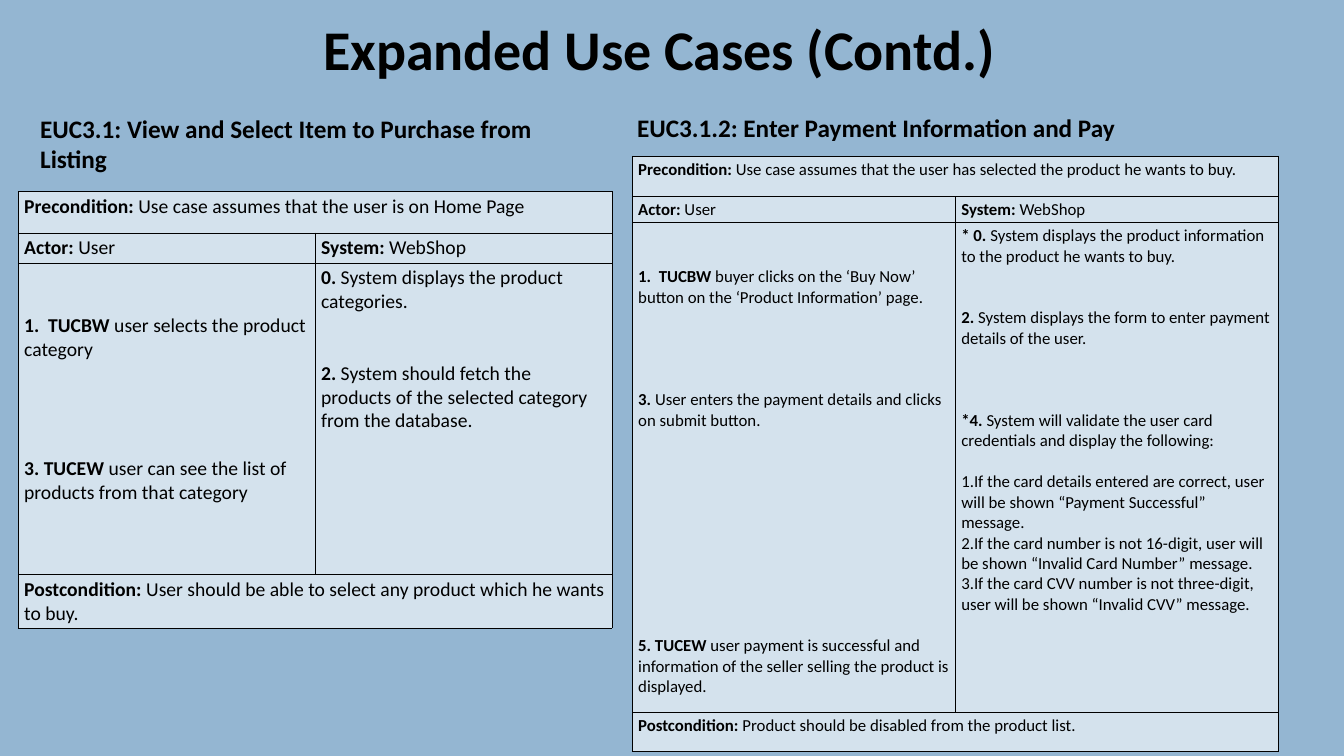
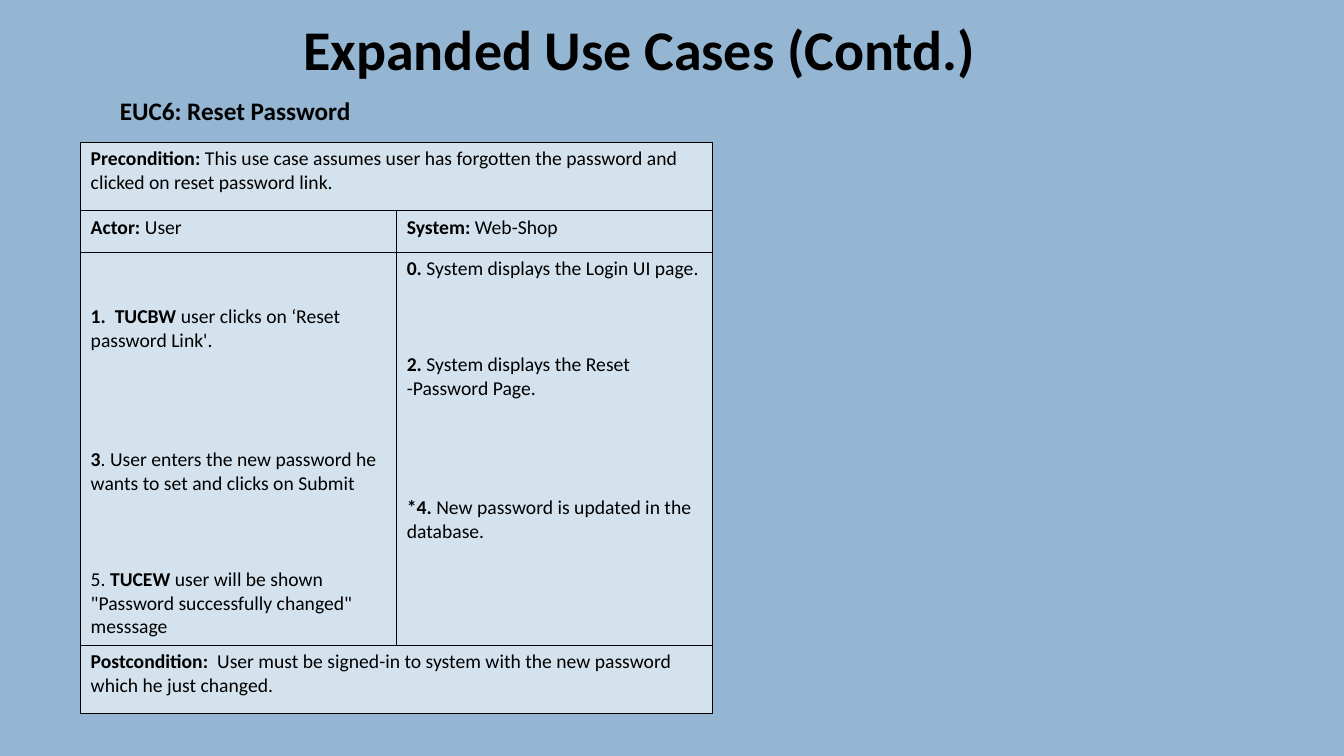
from dataclasses import dataclass

from lxml.etree import SubElement
from pptx import Presentation
from pptx.dml.color import RGBColor
from pptx.enum.text import PP_ALIGN
from pptx.oxml.ns import qn
from pptx.util import Inches, Pt

COLORS = {"background": "94B6D2", "cell": "D4E2ED", "ink": "000000"}
FONT = "Calibri"
LINE_HEIGHT = 1.22
BORDER_WIDTH = 0.5


@dataclass
class Step:
    gap: int
    text: str
    numbered: bool = False


@dataclass
class UseCase:
    precondition: str
    system: str
    actor_steps: list
    system_steps: list
    postcondition: str


def rgb(name):
    return RGBColor.from_string(COLORS[name])


def add_runs(p, text, size):
    for i, part in enumerate(text.split("|")):
        if part:
            r = p.add_run()
            r.text = part
            r.font.name = FONT
            r.font.size = Pt(size)
            r.font.bold = i % 2 == 0
            r.font.color.rgb = rgb("ink")


def add_slide(prs):
    s = prs.slides.add_slide(prs.slide_layouts[6])
    s.background.fill.solid()
    s.background.fill.fore_color.rgb = rgb("background")
    return s


def add_text(s, box, text, size, align=PP_ALIGN.LEFT):
    tf = s.shapes.add_textbox(*map(Inches, box)).text_frame
    tf.word_wrap = True
    p = tf.paragraphs[0]
    p.alignment = align
    add_runs(p, text, size)


def add_title(s, width):
    add_text(s, (1.49, 0.1, width, 0.8), "Expanded Use Cases (Contd.)", 40, PP_ALIGN.CENTER)


def style_cell(cell, margins):
    side, top = map(Inches, margins)
    cell.margin_left = cell.margin_right = side
    cell.margin_top = cell.margin_bottom = top
    tcPr = cell._tc.get_or_add_tcPr()
    for edge in ("lnL", "lnR", "lnT", "lnB"):
        ln = SubElement(tcPr, qn(f"a:{edge}"), w=str(Pt(BORDER_WIDTH)))
        SubElement(SubElement(ln, qn("a:solidFill")), qn("a:srgbClr"), val=COLORS["ink"])
    cell.fill.solid()
    cell.fill.fore_color.rgb = rgb("cell")


def fill_steps(cell, steps, size):
    tf = cell.text_frame
    for i, step in enumerate(steps):
        p = tf.add_paragraph() if i else tf.paragraphs[0]
        gap = Pt(step.gap * size * LINE_HEIGHT)
        if i:
            p.space_before = gap
        else:
            cell.margin_top += gap
        if step.numbered:
            pPr = p._p.get_or_add_pPr()
            pPr.set("marL", "0")
            pPr.set("indent", "0")
            SubElement(pPr, qn("a:buAutoNum"), type="arabicPeriod")
        add_runs(p, step.text, size)


def add_use_case(s, left, top, width, heights, case, size, margins):
    frame = s.shapes.add_table(len(heights), 2, *map(Inches, (left, top, width, sum(heights))))
    table = frame.table
    table.first_row = table.horz_banding = False
    for col in table.columns:
        col.width = Inches(width / 2)
    for row, height in zip(table.rows, heights):
        row.height = Inches(height)
        for cell in row.cells:
            style_cell(cell, margins)
    for i in (0, 3):
        table.cell(i, 0).merge(table.cell(i, 1))
    labels = {
        (0, 0): f"Precondition:| {case.precondition}",
        (1, 0): "Actor:| User",
        (1, 1): f"System:| {case.system}",
        (3, 0): f"Postcondition:| {case.postcondition}",
    }
    for position, text in labels.items():
        add_runs(table.cell(*position).text_frame.paragraphs[0], text, size)
    fill_steps(table.cell(2, 0), case.actor_steps, size)
    fill_steps(table.cell(2, 1), case.system_steps, size)


SELECT_ITEM = UseCase(
    "Use case assumes that the user is on Home Page",
    "WebShop",
    [
        Step(2, "1.\u00a0 TUCBW| user selects the product category"),
        Step(4, "3. TUCEW |user can see the list of products from that category"),
    ],
    [
        Step(0, "0. |System displays the product categories."),
        Step(2, "2. |System should fetch the products of the selected category from the database."),
    ],
    "User should be able to select any product which he wants to buy.",
)

PAYMENT = UseCase(
    "Use case assumes that the user has selected the product he wants to buy.",
    "WebShop",
    [
        Step(2, "1.\u00a0 TUCBW |buyer clicks on the ‘Buy Now’ button on the ‘Product Information’ page."),
        Step(4, "3. |User enters the payment details and clicks on submit button."),
        Step(10, "5. TUCEW |user payment is successful and information of the seller "
                 "selling the product is displayed."),
    ],
    [
        Step(0, "* 0. |System displays the product information to the product he wants to buy."),
        Step(2, "2. |System displays the form to enter payment details of the user."),
        Step(3, "*4. |System will validate the user card credentials and display the following:"),
        Step(1, "|If the card details entered are correct, user will be shown "
                "“Payment Successful” message.", True),
        Step(0, "|If the card number is not 16-digit, user will be shown "
                "“Invalid Card Number” message.", True),
        Step(0, "|If the card CVV number is not three-digit, user will be shown "
                "“Invalid CVV” message.", True),
    ],
    "Product should be disabled from the product list.",
)

RESET_PASSWORD = UseCase(
    "This use case assumes user has forgotten the password and clicked on reset password link.",
    "Web-Shop",
    [
        Step(2, "1.\u00a0 TUCBW |user clicks on ‘Reset password Link'."),
        Step(4, "3|. User enters the new password he wants to set and clicks on Submit"),
        Step(3, "|5. |TUCEW |user will be shown \"Password successfully changed\" messsage"),
    ],
    [
        Step(0, "0. |System displays the Login UI page."),
        Step(3, "2. |System displays the Reset -Password Page."),
        Step(4, "*4. |New password is updated in the database."),
    ],
    "\u00a0User must be signed-in to system with the new password which he just changed.",
)


def purchase_slide(prs):
    s = add_slide(prs)
    add_title(s, 10.09)
    tight = (0.06, 0.03)
    add_text(s, (0.3, 1.07, 5.56, 0.71), "EUC3.1: View and Select Item to Purchase from Listing", 18)
    add_use_case(s, 0.18, 1.9, 5.89, (0.41, 0.3, 3.09, 0.53), SELECT_ITEM, 14, tight)
    add_text(s, (6.22, 1.07, 4.99, 0.4), "EUC3.1.2: Enter Payment Information and Pay", 18)
    add_use_case(s, 6.27, 1.55, 6.41, (0.4, 0.26, 4.86, 0.38), PAYMENT, 12, tight)


def password_slide(prs):
    s = add_slide(prs)
    add_title(s, 9.7)
    add_text(s, (1.09, 0.9, 3, 0.4), "EUC6: Reset Password", 18)
    add_use_case(s, 0.8, 1.41, 6.27, (0.68, 0.41, 3.9, 0.68), RESET_PASSWORD, 14, (0.1, 0.05))


prs = Presentation()
prs.slide_width, prs.slide_height = Inches(13.33), Inches(7.5)
purchase_slide(prs)
password_slide(prs)
prs.save("out.pptx")
